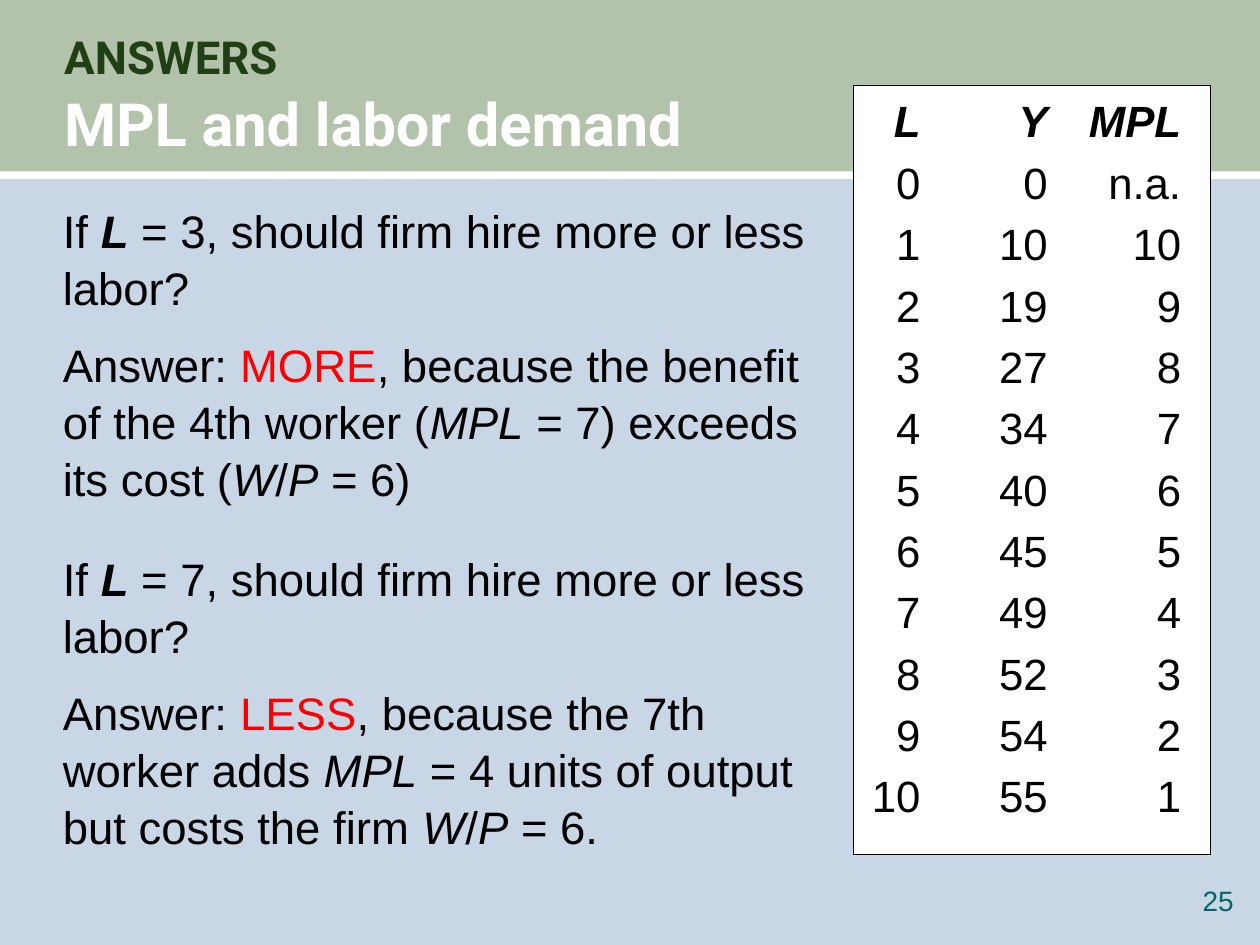
from dataclasses import dataclass

from lxml.etree import SubElement
from pptx import Presentation
from pptx.dml.color import RGBColor as Color
from pptx.enum.shapes import MSO_SHAPE as Preset
from pptx.enum.text import MSO_ANCHOR as Anchor, PP_ALIGN as Align
from pptx.oxml.ns import qn
from pptx.util import Pt


@dataclass(frozen=True)
class Theme:
    background: str = "C9D6E5"
    band: str = "B3C2AA"
    white: str = "FFFFFF"
    heading: str = "203F15"
    ink: str = "000000"
    accent: str = "FF0000"
    number: str = "006666"
    title_font: str = "Roboto"
    body_font: str = "Arial"
    kicker_size: float = 26
    title_size: float = 34
    body_size: float = 26
    table_size: float = 25
    number_size: float = 16
    line_spacing: float = 1.05


THEME = Theme()

# Each paragraph: space before, then (text, style) runs
ANSWERS = [
    (0, [("If ", ""), ("L", "bold italic"),
         (" = 3, should firm hire more or less labor?", "")]),
    (11, [("Answer: ", ""), ("MORE", "accent"),
          (", because the benefit of the 4th worker (", ""), ("MPL", "italic"),
          (" = 7) exceeds its cost (", ""), ("W", "italic"), ("/", ""),
          ("P", "italic"), (" = 6)", "")]),
    (24, [("If ", ""), ("L", "bold italic"),
          (" = 7, should firm hire more or less labor?", "")]),
    (11, [("Answer: ", ""), ("LESS", "accent"),
          (", because the 7th worker adds ", ""), ("MPL", "italic"),
          (" = 4 units of output but costs the firm ", ""), ("W", "italic"),
          ("/", ""), ("P", "italic"), (" = 6.", "")]),
]
OUTPUT = [0, 10, 19, 27, 34, 40, 45, 49, 52, 54, 55]
TAB_STOPS = [31, 103.7, 180]


def add_span(para, text, size, color, font=THEME.body_font, bold=False, italic=False):
    span = para.add_run()
    span.text = text
    span.font.name = font
    span.font.size = Pt(size)
    span.font.bold = bold
    span.font.italic = italic
    span.font.color.rgb = Color.from_string(color)


def add_para(frame, index, space_before=0):
    para = frame.paragraphs[0] if index == 0 else frame.add_paragraph()
    para.alignment = Align.LEFT
    para.line_spacing = THEME.line_spacing
    para.space_before = Pt(space_before if index else 0)
    return para


def add_box(page, left, top, width, height, inset=True):
    frame = page.shapes.add_textbox(Pt(left), Pt(top), Pt(width), Pt(height)).text_frame
    frame.word_wrap = True
    if not inset:
        frame.margin_left = frame.margin_right = 0
        frame.margin_top = frame.margin_bottom = 0
    return frame


def add_rect(page, left, top, width, height, fill, line=None):
    rect = page.shapes.add_shape(
        Preset.RECTANGLE, Pt(left), Pt(top), Pt(width), Pt(height))
    rect.shadow.inherit = False
    rect.fill.solid()
    rect.fill.fore_color.rgb = Color.from_string(fill)
    if line:
        rect.line.color.rgb = Color.from_string(line)
        rect.line.width = Pt(0.75)
    else:
        rect.line.fill.background()
    return rect


def add_title(page):
    frame = add_box(page, 36.7, 15.8, 649.4, 74.2, inset=False)
    frame.vertical_anchor = Anchor.MIDDLE
    para = add_para(frame, 0)
    add_span(para, "ANSWERS", THEME.kicker_size, THEME.heading, THEME.title_font, bold=True)
    para.add_line_break()
    add_span(para, "MPL and labor demand", THEME.title_size, THEME.white,
             THEME.title_font, bold=True)


def add_answers(page):
    frame = add_box(page, 28.8, 110.9, 440, 414.7)
    for index, (space_before, spans) in enumerate(ANSWERS):
        para = add_para(frame, index, space_before)
        for text, style in spans:
            color = THEME.accent if style == "accent" else THEME.ink
            add_span(para, text, THEME.body_size, color,
                     bold="bold" in style, italic="italic" in style)


def add_tab_stops(para):
    tabs = SubElement(para._p.get_or_add_pPr(), qn("a:tabLst"))
    for stop in TAB_STOPS:
        SubElement(tabs, qn("a:tab"), pos=str(int(Pt(stop))), algn="r")


def add_schedule(page):
    frame = add_rect(page, 487.9, 48.8, 203.8, 439.4, THEME.white, THEME.ink).text_frame
    frame.word_wrap = True
    frame.vertical_anchor = Anchor.TOP
    # The marginal product is the rise in output from one worker to the next
    marginal = ["n.a."] + [after - before for before, after in zip(OUTPUT, OUTPUT[1:])]
    rows = [("L", "Y", "MPL"), *zip(range(len(OUTPUT)), OUTPUT, marginal)]
    for index, row in enumerate(rows):
        para = add_para(frame, index, space_before=3.6)
        add_tab_stops(para)
        header = index == 0
        add_span(para, "".join(f"\t{value}" for value in row),
                 THEME.table_size, THEME.ink, bold=header, italic=header)


def add_page_number(page):
    para = add_box(page, 665.3, 504.7, 39.6, 23, inset=False).paragraphs[0]
    para.alignment = Align.RIGHT
    add_span(para, "25", THEME.number_size, THEME.number)


def main():
    deck = Presentation()
    deck.slide_width, deck.slide_height = Pt(720), Pt(540)
    page = deck.slides.add_slide(deck.slide_layouts[6])
    page.background.fill.solid()
    page.background.fill.fore_color.rgb = Color.from_string(THEME.background)

    # Header band, title and rule
    add_rect(page, 0, -0.7, 720, 101.5, THEME.band)
    add_title(page)
    add_rect(page, 0, 98, 720, 4.3, THEME.white)

    # Page number, answers and labor schedule
    add_page_number(page)
    add_answers(page)
    add_schedule(page)

    deck.save("out.pptx")


if __name__ == "__main__":
    main()
